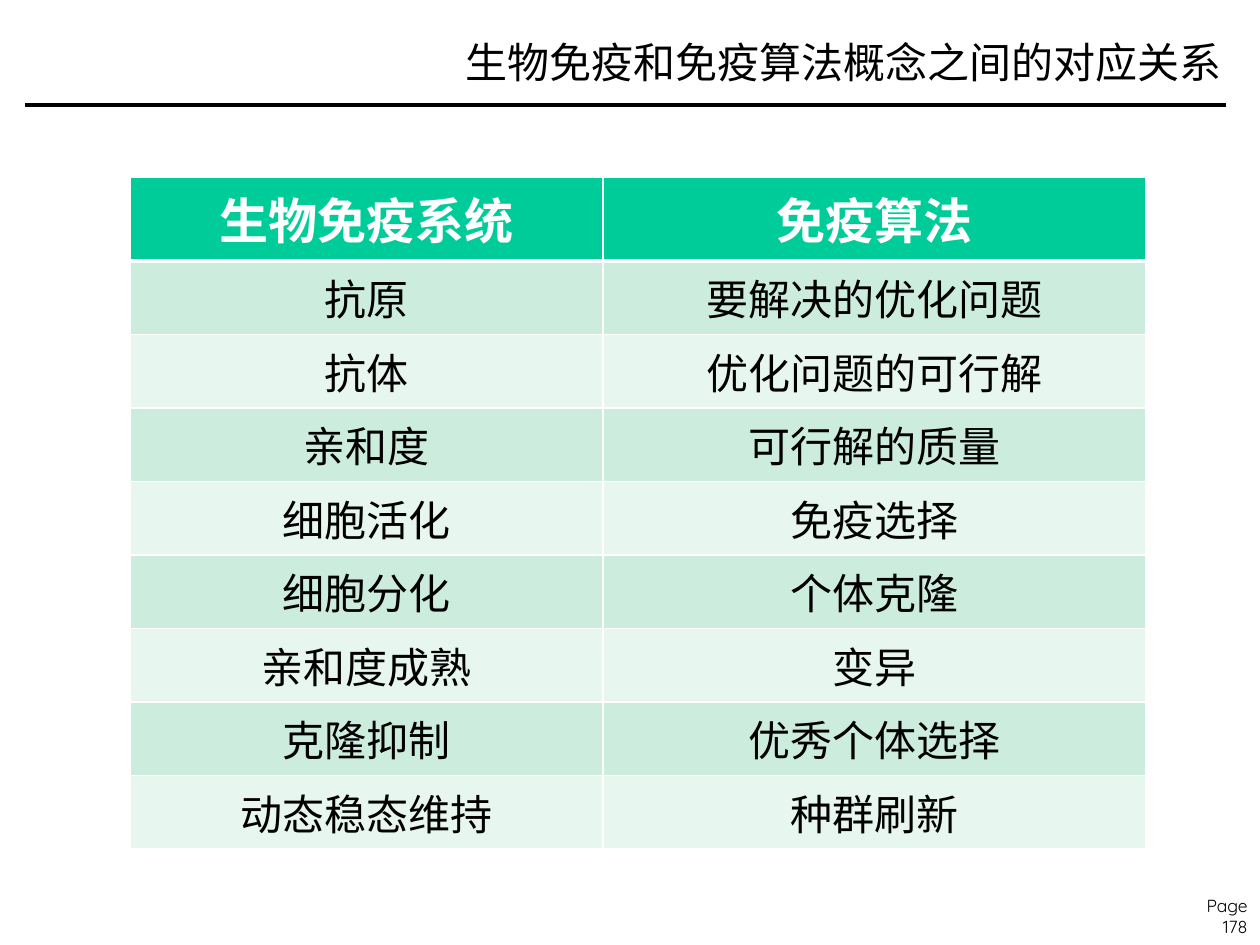
from dataclasses import dataclass

from lxml import etree
from pptx import Presentation, util as u
from pptx.dml.color import RGBColor
from pptx.enum import shapes, text
from pptx.oxml import ns

PX_PER_INCH = 126
COLORS = {
    "ink": "000000",
    "paper": "FFFFFF",
    "header": "00CC99",
    "band_dark": "CCECDE",
    "band_light": "E7F6EF",
}


@dataclass(frozen=True)
class TextStyle:
    font: str
    size: int
    color: str
    align: text.PP_ALIGN
    bold: bool = False


@dataclass(frozen=True)
class Label:
    words: str
    left: int
    top: int
    width: int
    height: int
    anchor: text.MSO_ANCHOR
    style: TextStyle


@dataclass(frozen=True)
class Concept:
    biology: str
    algorithm: str


LABELS = [
    Label("生物免疫和免疫算法概念之间的对应关系", 446, 15, 788, 94, text.MSO_ANCHOR.MIDDLE,
          TextStyle("Times New Roman", 24, "ink", text.PP_ALIGN.RIGHT)),
    Label("Page\v178", 1159, 889, 101, 33, text.MSO_ANCHOR.TOP,
          TextStyle("Quicksand", 10, "ink", text.PP_ALIGN.RIGHT)),
]
HEADER_STYLE = TextStyle("Arial", 28, "paper", text.PP_ALIGN.CENTER, bold=True)
BODY_STYLE = TextStyle("Arial", 24, "ink", text.PP_ALIGN.CENTER)
CONCEPTS = [
    Concept("生物免疫系统", "免疫算法"),
    Concept("抗原", "要解决的优化问题"),
    Concept("抗体", "优化问题的可行解"),
    Concept("亲和度", "可行解的质量"),
    Concept("细胞活化", "免疫选择"),
    Concept("细胞分化", "个体克隆"),
    Concept("亲和度成熟", "变异"),
    Concept("克隆抑制", "优秀个体选择"),
    Concept("动态稳态维持", "种群刷新"),
]
COLUMN_WIDTHS = (473, 543)
HEADER_HEIGHT, BODY_HEIGHT = 84, 588


def px(length: int) -> u.Emu:
    return u.Emu(round(length * u.Inches(1) / PX_PER_INCH))


def rgb(name: str) -> RGBColor:
    return RGBColor.from_string(COLORS[name])


def write(paragraph, words: str, style: TextStyle) -> None:
    paragraph.text = words
    paragraph.alignment = style.align
    font = paragraph.font
    font.name, font.size, font.bold = style.font, u.Pt(style.size), style.bold
    font.color.rgb = rgb(style.color)


def draw_label(slide, label: Label) -> None:
    box = slide.shapes.add_textbox(
        px(label.left), px(label.top), px(label.width), px(label.height))
    frame = box.text_frame
    frame.word_wrap = True
    frame.vertical_anchor = label.anchor
    write(frame.paragraphs[0], label.words, label.style)


def draw_rule(slide) -> None:
    rule = slide.shapes.add_connector(
        shapes.MSO_CONNECTOR.STRAIGHT, px(25), px(105), px(1226), px(105))
    rule.line.color.rgb = rgb("ink")
    rule.line.width = u.Pt(2)
    etree.SubElement(rule._element.spPr, ns.qn("a:effectLst"))


def set_borders(cell, top: int, bottom: int) -> None:
    """Give a cell white borders, with top and bottom widths in points."""
    properties = cell._tc.get_or_add_tcPr()
    for side, width in (("L", 1), ("R", 1), ("T", top), ("B", bottom)):
        border = etree.SubElement(properties, ns.qn(f"a:ln{side}"), w=str(u.Pt(width)))
        fill = etree.SubElement(border, ns.qn("a:solidFill"))
        etree.SubElement(fill, ns.qn("a:srgbClr"), val=COLORS["paper"])


def draw_concepts(slide) -> None:
    table = slide.shapes.add_table(
        len(CONCEPTS), len(COLUMN_WIDTHS), px(130), px(177),
        px(sum(COLUMN_WIDTHS)), px(HEADER_HEIGHT + BODY_HEIGHT)).table
    for column, width in zip(table.columns, COLUMN_WIDTHS):
        column.width = px(width)
    body_row_height = px(BODY_HEIGHT) // (len(CONCEPTS) - 1)
    for index, (row, concept) in enumerate(zip(table.rows, CONCEPTS)):
        is_header = index == 0
        row.height = px(HEADER_HEIGHT) if is_header else u.Emu(body_row_height)
        band = "band_dark" if index % 2 else "band_light"
        for cell, words in zip(row.cells, (concept.biology, concept.algorithm)):
            set_borders(cell, top=3 if index == 1 else 1, bottom=3 if is_header else 1)
            cell.fill.solid()
            cell.fill.fore_color.rgb = rgb("header" if is_header else band)
            write(cell.text_frame.paragraphs[0], words,
                  HEADER_STYLE if is_header else BODY_STYLE)


def main() -> None:
    deck = Presentation()
    deck.slide_width, deck.slide_height = px(1260), px(945)
    slide = deck.slides.add_slide(deck.slide_layouts[6])
    draw_rule(slide)
    for label in LABELS:
        draw_label(slide, label)
    draw_concepts(slide)
    deck.save("out.pptx")


if __name__ == "__main__":
    main()
